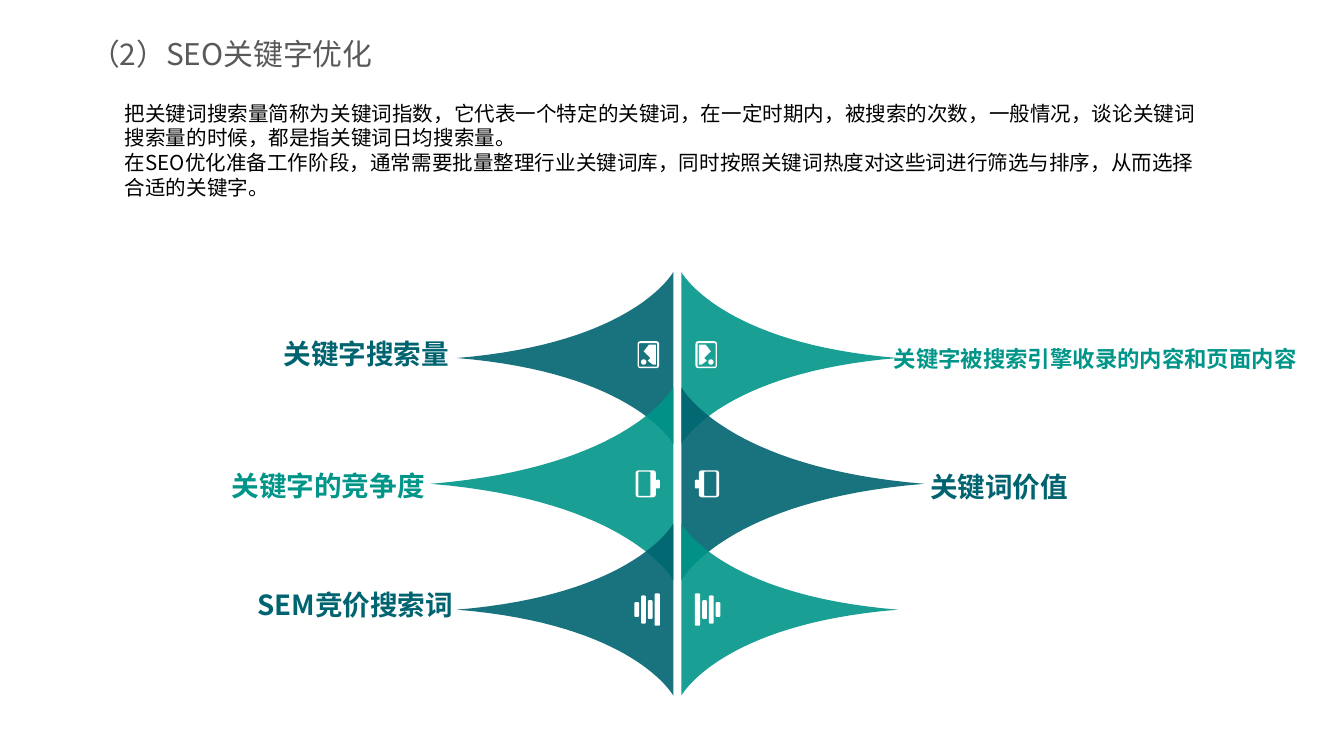
from dataclasses import dataclass
from math import cos, pi, sin

from lxml.etree import SubElement
from pptx import Presentation
from pptx.dml.color import RGBColor
from pptx.enum.text import MSO_ANCHOR as Anchor, MSO_AUTO_SIZE as AutoSize, PP_ALIGN as Align
from pptx.oxml.ns import qn
from pptx.util import Inches, Pt


@dataclass(frozen=True)
class Theme:
    """Colours, font and type sizes of the slide."""
    font: str = "Noto Sans CJK SC"
    deep: str = "006470"
    green: str = "009589"
    grey: str = "595959"
    black: str = "000000"
    white: str = "FFFFFF"
    title: float = 16
    body: float = 11
    leading: float = 13.2
    label: float = 14.8
    small_label: float = 12
    petal_opacity: int = 90


@dataclass(frozen=True)
class Box:
    """A rectangle in inches."""
    left: float
    top: float
    width: float
    height: float


THEME = Theme()
WIDTH, HEIGHT = 10, 10 * 9 / 16


def share(left, top, width, height):
    """Return a box given in percent of the slide's width and height."""
    return Box(left * WIDTH / 100, top * HEIGHT / 100, width * WIDTH / 100, height * HEIGHT / 100)


def add_text(slide, box, *texts, size, color, bold=False, align=Align.LEFT,
             anchor=Anchor.MIDDLE, insets=(0.1, 0.05, 0.1, 0.05), wrap=True,
             auto_size=AutoSize.NONE, leading=None):
    """Add a text box with one paragraph for each text."""
    shape = slide.shapes.add_textbox(*map(Inches, (box.left, box.top, box.width, box.height)))
    frame = shape.text_frame
    frame.word_wrap, frame.auto_size, frame.vertical_anchor = wrap, auto_size, anchor
    (frame.margin_left, frame.margin_top,
     frame.margin_right, frame.margin_bottom) = map(Inches, insets)
    for index, text in enumerate(texts):
        paragraph = frame.add_paragraph() if index else frame.paragraphs[0]
        paragraph.alignment = align
        if leading:
            paragraph.line_spacing = Pt(leading)
        run = paragraph.add_run()
        run.text = text
        run.font.size, run.font.bold = Pt(size), bold
        run.font.color.rgb = RGBColor.from_string(color)
        run.font.name = THEME.font
        SubElement(run.font._element, qn("a:ea")).set("typeface", THEME.font)


def add_outline(slide, contours, color, opacity=100):
    """Add one filled freeform made of closed contours in inches."""
    first, *others = [[(Inches(x), Inches(y)) for x, y in contour] for contour in contours]
    builder = slide.shapes.build_freeform(*first[0])
    builder.add_line_segments(first[1:], close=True)
    for contour in others:
        builder.move_to(*contour[0])
        builder.add_line_segments(contour[1:], close=True)
    shape = builder.convert_to_shape()
    shape.shadow.inherit = False
    shape.fill.solid()
    shape.fill.fore_color.rgb = RGBColor.from_string(color)
    shape.line.fill.background()
    if opacity < 100:
        fill = shape._element.spPr.find(qn("a:solidFill"))
        SubElement(fill[0], qn("a:alpha")).set("val", str(opacity * 1000))


def petal(length, half, steps=32):
    """Return a petal that tapers from the spine to a tip."""
    upper = []
    for step in range(steps + 1):
        t = step / steps
        s = 1 - t
        upper.append((length * (0.54 * s * t * t + t ** 3),
                      -half * (s ** 3 + 3 * s * s * t + 0.5 * s * t * t)))
    return upper + [(x, -y) for x, y in reversed(upper[:-1])]


def rounded(left, top, right, bottom, radius=1.0):
    """Return a rectangle with rounded corners."""
    corners = ((right - radius, bottom - radius), (left + radius, bottom - radius),
               (left + radius, top + radius), (right - radius, top + radius))
    return [(x + radius * cos((quarter + step / 4) * pi / 2),
             y + radius * sin((quarter + step / 4) * pi / 2))
            for quarter, (x, y) in enumerate(corners) for step in range(5)]


def picture_icon():
    """Return a framed landscape with a sun."""
    scene = [(13, -10), (13, 5), (15, 5), (19, 2), (17, 0), (22, -5), (18, -10)]
    return [rounded(10.5, -12.5, 26.5, 7.5, 2), rounded(12, -11, 25.5, 6.5, 0.5),
            rounded(20, 1, 24, 5, 2), scene]


def tablet_icon():
    """Return a tablet with a button on its side."""
    return [rounded(13, -10, 28, 10, 2), rounded(17, -9, 26, 9, 0.5),
            rounded(10, -3, 13, 3.5)]


def bars_icon():
    """Return four upright bars of unequal height."""
    bars = ((10, 14, 12), (15.5, 19, 7), (20.5, 24, 10.5), (25.5, 29, 5.5))
    return [rounded(left, -half, right, half) for left, right, half in bars]


def add_fan(slide, box):
    """Add three pairs of mirrored petals with icons along a spine."""
    cell = box.height / 312
    axis, middle = box.left + box.width / 2, box.top + box.height / 2
    rows = ((0.41, picture_icon()), (0.46, tablet_icon()), (0.41, bars_icon()))
    for side, colors in ((-1, (THEME.deep, THEME.green)), (1, (THEME.green, THEME.deep))):
        for row, (petal_share, icon) in enumerate(rows):
            center = middle + (row - 1) * 0.3 * box.height
            size = petal_share * box.height

            def place(contour, unit=1):
                """Move a contour from the spine to its side and row."""
                return [(axis + side * (3 * cell + x * unit), center + y * unit)
                        for x, y in contour]

            add_outline(slide, [place(petal(1.26 * size, size / 2))],
                        colors[row % 2], THEME.petal_opacity)
            add_outline(slide, [place(contour, cell) for contour in icon], THEME.white)


def add_labels(slide):
    """Add the label beside each petal."""
    labels = (
        ("关键字被搜索引擎收录的内容和页面内容", 62.6, 45.33, THEME.green, Align.LEFT, THEME.small_label),
        ("关键词价值", 65.3, 62.25, THEME.deep, Align.LEFT, THEME.label),
        ("关键字搜索量", 1.8, 44.62, THEME.deep, Align.RIGHT, THEME.label),
        ("关键字的竞争度", 0, 62.05, THEME.green, Align.RIGHT, THEME.label),
        ("SEM竞价搜索词", 2.1, 77.87, THEME.deep, Align.RIGHT, THEME.label),
    )
    for text, left, top, color, align, size in labels:
        add_text(slide, share(left, top, 34.7, 4.27), text, size=size, color=color,
                 bold=True, align=align, insets=(0.39, 0, 0.31, 0), wrap=False)


def add_heading(slide, title_box, body_box):
    """Add the title and the introduction."""
    add_text(slide, title_box, "（2）SEO关键字优化", size=THEME.title, color=THEME.grey,
             insets=(0, 0.05, 0, 0.05))
    add_text(slide, body_box,
             "把关键词搜索量简称为关键词指数，它代表一个特定的关键词，在一定时期内，被搜索的次数，"
             "一般情况，谈论关键词搜索量的时候，都是指关键词日均搜索量。",
             "在SEO优化准备工作阶段，通常需要批量整理行业关键词库，同时按照关键词热度对这些词"
             "进行筛选与排序，从而选择合适的关键字。",
             size=THEME.body, color=THEME.black, anchor=Anchor.TOP,
             auto_size=AutoSize.SHAPE_TO_FIT_TEXT, leading=THEME.leading)


def main():
    """Build the slide and save the presentation."""
    presentation = Presentation()
    presentation.slide_width, presentation.slide_height = Inches(WIDTH), Inches(HEIGHT)
    slide = presentation.slides.add_slide(presentation.slide_layouts[6])
    add_fan(slide, share(32.1, 36.27, 36.6, 55.47))
    add_labels(slide)
    add_heading(slide, share(6.7, 3.38, 32.3, 7.47), share(8.3, 12.44, 81.9, 14.93))
    presentation.save("out.pptx")


if __name__ == "__main__":
    main()
